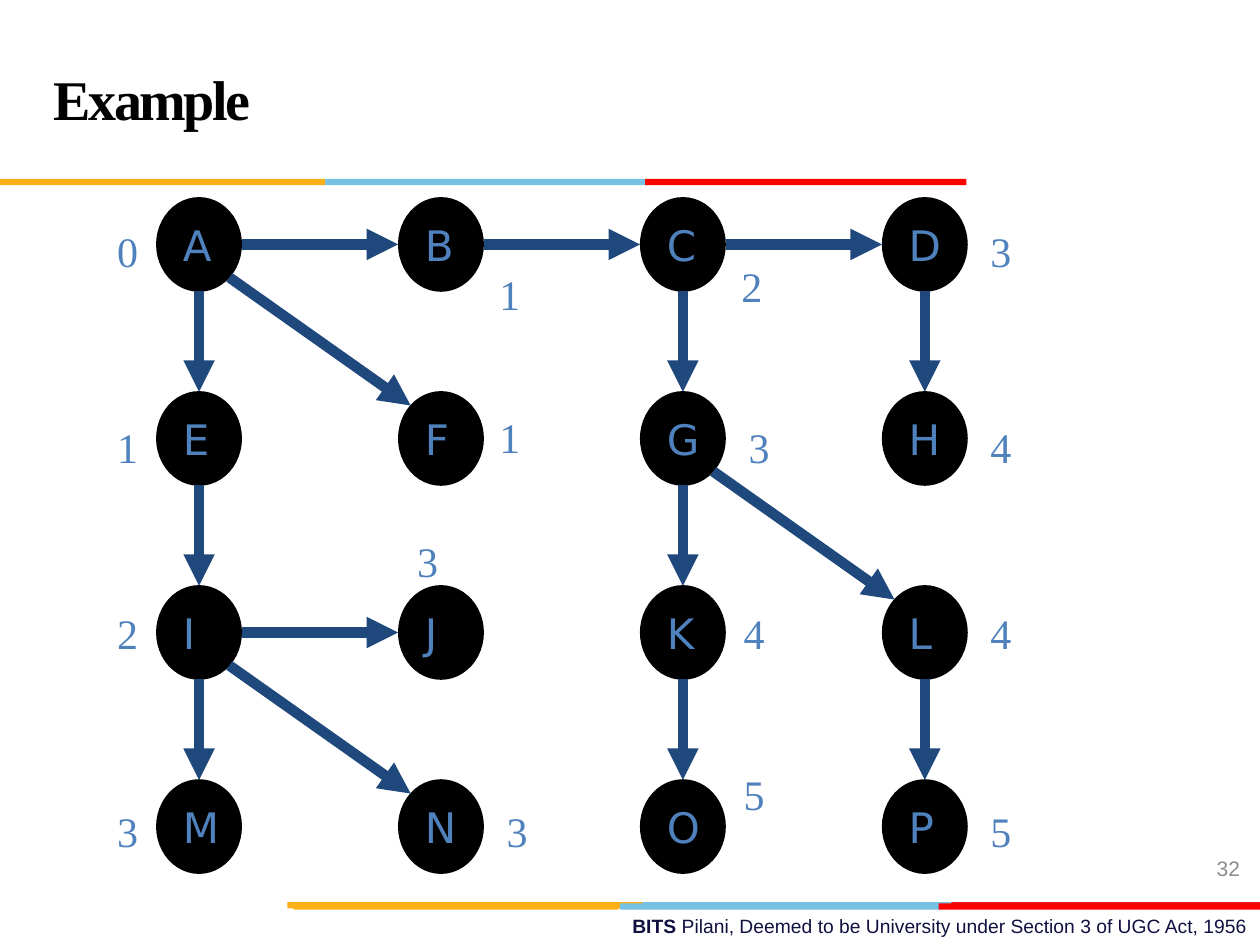
from math import hypot

from lxml.etree import SubElement
from pptx import Presentation
from pptx.dml.color import RGBColor
from pptx.enum.shapes import MSO_CONNECTOR, MSO_SHAPE
from pptx.enum.text import MSO_ANCHOR, MSO_AUTO_SIZE, PP_ALIGN
from pptx.oxml.ns import qn
from pptx.util import Inches, Pt

WIDTH, HEIGHT = 10, 7.5
BLACK = RGBColor(0x00, 0x00, 0x00)
WHITE = RGBColor(0xFF, 0xFF, 0xFF)
GRAY = RGBColor(0x8C, 0x8C, 0x8C)
INK = RGBColor(0x10, 0x11, 0x41)
NAVY = RGBColor(0x1F, 0x49, 0x7D)
BLUE = RGBColor(0x4F, 0x81, 0xBD)
SKY = RGBColor(0x76, 0xC2, 0xE5)
AMBER = RGBColor(0xFC, 0xB0, 0x17)
RED = RGBColor(0xFF, 0x00, 0x00)
CRIMSON = RGBColor(0xE3, 0x1C, 0x24)

FIRST_X, FIRST_Y = 1.58, 1.94
COLUMN_STEP, ROW_STEP = 1.92, 1.54
NODE_WIDTH, NODE_HEIGHT = 0.64, 0.71
REACH_X, REACH_Y = 0.34, 0.37
BAR_HEIGHT = 0.05

NODES = "ABCDEFGHIJKLMNOP"
EDGES = "AB BC CD AE AF CG DH EI GK GL IJ IM IN KO LP".split()
DEPTHS = [
    ("0", -0.39, -0.13), ("1", 1.19, 0.09), ("2", 2.19, 0.05), ("3", 3.22, -0.13),
    ("1", -0.39, 0.88), ("1", 1.19, 0.83), ("3", 2.22, 0.88), ("4", 3.22, 0.88),
    ("2", -0.39, 1.84), ("3", 0.85, 1.47), ("4", 2.2, 1.84), ("4", 3.22, 1.84),
    ("3", -0.39, 2.86), ("3", 1.22, 2.86), ("5", 2.2, 2.67), ("5", 3.22, 2.86),
]
BARS = [
    (7.16, [(5.06, 2.55, SKY), (7.55, 2.45, CRIMSON), (2.28, 2.82, AMBER)]),
    (7.17, [(4.92, 2.55, SKY), (2.33, 2.58, AMBER), (7.45, 2.55, RED)]),
    (1.42, [(2.58, 2.55, SKY), (0, 2.58, AMBER), (5.12, 2.55, RED)]),
]


def grid_point(column, row):
    return FIRST_X + column * COLUMN_STEP, FIRST_Y + row * ROW_STEP


def node_cell(letter):
    row, column = divmod(NODES.index(letter), 4)
    return column, row


def style_font(font, name, size, color, bold=False):
    font.name = name
    font.size = Pt(size)
    font.color.rgb = color
    font.bold = bold


def add_filled(shapes, kind, left, top, width, height, color):
    shape = shapes.add_shape(kind, Inches(left), Inches(top), Inches(width), Inches(height))
    shape.shadow.inherit = False
    shape.fill.solid()
    shape.fill.fore_color.rgb = color
    shape.line.fill.background()
    return shape


def write_symbol(shape, text, font_name, anchor):
    frame = shape.text_frame
    frame.text = text
    frame.word_wrap = False
    frame.vertical_anchor = anchor
    para = frame.paragraphs[0]
    para.alignment = PP_ALIGN.LEFT
    style_font(para.runs[0].font, font_name, 24, BLUE)


def add_node(shapes, letter):
    x, y = grid_point(*node_cell(letter))
    node = add_filled(shapes, MSO_SHAPE.OVAL, x - NODE_WIDTH / 2, y - NODE_HEIGHT / 2,
                      NODE_WIDTH, NODE_HEIGHT, BLACK)
    node.line.color.rgb = BLACK
    node.line.width = Pt(3)
    write_symbol(node, letter, "DejaVu Sans", MSO_ANCHOR.MIDDLE)


def add_edge(shapes, source, target):
    start, end = node_cell(source), node_cell(target)
    across, down = end[0] - start[0], end[1] - start[1]
    length = hypot(across, down)
    gap_x, gap_y = REACH_X * across / length, REACH_Y * down / length
    (x1, y1), (x2, y2) = grid_point(*start), grid_point(*end)
    arrow = shapes.add_connector(MSO_CONNECTOR.STRAIGHT, Inches(x1 + gap_x), Inches(y1 + gap_y),
                                 Inches(x2 - gap_x), Inches(y2 - gap_y))
    arrow.line.color.rgb = NAVY
    arrow.line.width = Pt(6)
    SubElement(arrow.line._get_or_add_ln(), qn("a:tailEnd"), type="triangle")
    SubElement(arrow._element.spPr, qn("a:effectLst"))


def add_depth(shapes, depth, column, row):
    left, top = grid_point(column, row)
    label = add_filled(shapes, MSO_SHAPE.RECTANGLE, left, top, 0.31, 0.43, WHITE)
    write_symbol(label, depth, "Times New Roman", MSO_ANCHOR.TOP)
    label.text_frame.auto_size = MSO_AUTO_SIZE.SHAPE_TO_FIT_TEXT


def add_text(page, text, left, top, width, height, anchor, alignment):
    box = page.shapes.add_textbox(Inches(left), Inches(top), Inches(width), Inches(height))
    frame = box.text_frame
    frame.text = text
    frame.word_wrap = True
    frame.vertical_anchor = anchor
    para = frame.paragraphs[0]
    para.alignment = alignment
    return para


def add_footer(page):
    para = add_text(page, "BITS ", 3.58, 7.21, 6.42, 0.29, MSO_ANCHOR.TOP, PP_ALIGN.RIGHT)
    style_font(para.runs[0].font, "Arial", 11, INK, bold=True)
    span = para.add_run()
    span.text = "Pilani, Deemed to be University under Section 3 of UGC Act, 1956"
    style_font(span.font, "Arial", 11, INK)


def add_bars(page):
    for top, segments in BARS:
        shapes = page.shapes.add_group_shape().shapes
        for left, width, color in segments:
            add_filled(shapes, MSO_SHAPE.RECTANGLE, left, top, width, BAR_HEIGHT, color)


def add_title(page):
    para = add_text(page, "Example", 0.33, 0.17, 7.92, 1.25, MSO_ANCHOR.MIDDLE, PP_ALIGN.LEFT)
    para.line_spacing = Pt(36)
    font = para.runs[0].font
    style_font(font, "Times New Roman", 32, BLACK, bold=True)
    font._element.set("spc", "-150")


def add_page_number(page):
    para = add_text(page, "32", 7.61, 6.69, 2.33, 0.4, MSO_ANCHOR.MIDDLE, PP_ALIGN.RIGHT)
    style_font(para.runs[0].font, "Arial", 12, GRAY)


def add_graph(page):
    shapes = page.shapes.add_group_shape().shapes
    for letter in NODES:
        add_node(shapes, letter)
    for source, target in EDGES:
        add_edge(shapes, source, target)
    for depth, column, row in DEPTHS:
        add_depth(shapes, depth, column, row)


def main():
    deck = Presentation()
    deck.slide_width, deck.slide_height = Inches(WIDTH), Inches(HEIGHT)
    page = deck.slides.add_slide(deck.slide_layouts[6])
    add_footer(page)
    add_bars(page)
    add_title(page)
    add_page_number(page)
    add_graph(page)
    deck.save("out.pptx")


if __name__ == "__main__":
    main()
